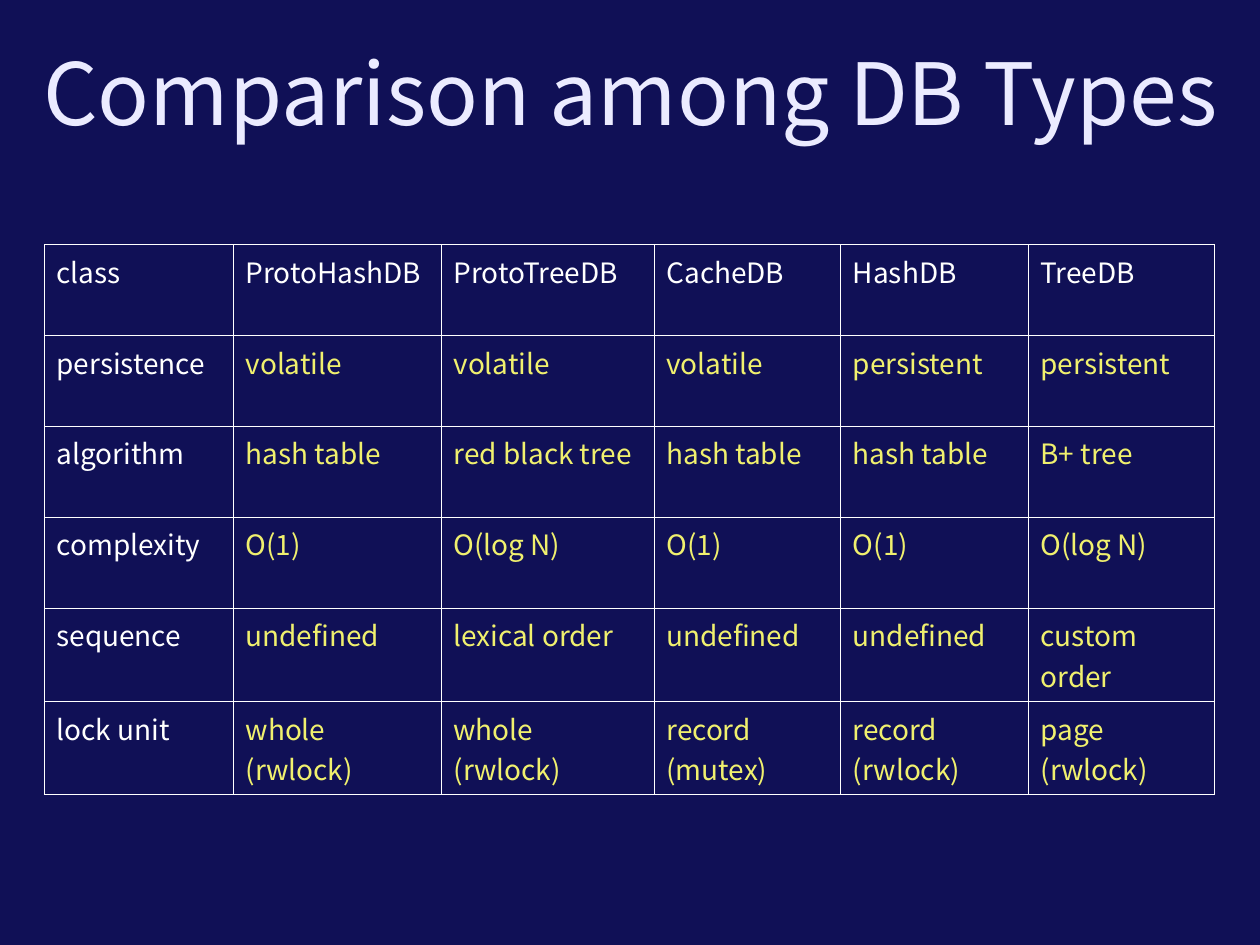
from lxml.etree import SubElement
from pptx import Presentation
from pptx.dml.color import RGBColor
from pptx.enum.text import MSO_ANCHOR, MSO_AUTO_SIZE, PP_ALIGN
from pptx.oxml.ns import qn
from pptx.util import Inches, Pt

NAVY = RGBColor(0x10, 0x10, 0x56)
LAVENDER = RGBColor(0xEB, 0xEB, 0xFF)
WHITE = RGBColor(0xFF, 0xFF, 0xFF)
YELLOW = RGBColor(0xF0, 0xF0, 0x6E)
FONT = "Noto Sans CJK JP"
BORDER_WIDTH = Pt(0.45)

COLUMN_WIDTHS = [1.5, 1.65, 1.69, 1.48, 1.49, 1.48]
DB_TYPES = [
    ["class", "ProtoHashDB", "ProtoTreeDB", "CacheDB", "HashDB", "TreeDB"],
    ["persistence", "volatile", "volatile", "volatile", "persistent", "persistent"],
    ["algorithm", "hash table", "red black tree", "hash table", "hash table", "B+ tree"],
    ["complexity", "O(1)", "O(log N)", "O(1)", "O(1)", "O(log N)"],
    ["sequence", "undefined", "lexical order", "undefined", "undefined", "custom order"],
    ["lock unit", "whole (rwlock)", "whole (rwlock)", "record (mutex)",
     "record (rwlock)", "page (rwlock)"],
]


def add_run(paragraph, text, size, color):
    run = paragraph.add_run()
    run.text = text
    run.font.name = FONT
    run.font.size = Pt(size)
    run.font.color.rgb = color


def add_borders(cell):
    properties = cell._tc.get_or_add_tcPr()
    for side in ("lnL", "lnR", "lnT", "lnB"):
        line = SubElement(properties, qn(f"a:{side}"), w=str(BORDER_WIDTH))
        fill = SubElement(line, qn("a:solidFill"))
        SubElement(fill, qn("a:srgbClr"), val=str(WHITE))


def place_title(slide, left, top, width, height):
    title = slide.shapes.title
    title.left, title.top, title.width, title.height = left, top, width, height
    frame = title.text_frame
    frame.word_wrap = True
    frame.auto_size = MSO_AUTO_SIZE.NONE
    frame.vertical_anchor = MSO_ANCHOR.MIDDLE
    heading = frame.paragraphs[0]
    heading.alignment = PP_ALIGN.CENTER
    add_run(heading, "Comparison among DB Types", 49, LAVENDER)


def place_comparison(slide, left, top, width, height):
    comparison = slide.shapes.add_table(
        len(DB_TYPES), len(COLUMN_WIDTHS), left, top, width, height).table
    comparison.horz_banding = False
    for column, column_width in zip(comparison.columns, COLUMN_WIDTHS):
        column.width = Inches(column_width)

    for row, values in enumerate(DB_TYPES):
        for col, value in enumerate(values):
            cell = comparison.cell(row, col)
            add_borders(cell)
            cell.fill.background()
            paragraph = cell.text_frame.paragraphs[0]
            paragraph.space_before = Pt(4)
            # Headings along the top and left are white
            is_heading = row == 0 or col == 0
            add_run(paragraph, value, 16, WHITE if is_heading else YELLOW)


def main():
    deck = Presentation()
    deck.slide_width, deck.slide_height = Inches(10), Inches(7.5)
    slide = deck.slides.add_slide(deck.slide_layouts[5])

    # Background
    slide.background.fill.solid()
    slide.background.fill.fore_color.rgb = NAVY

    # Title and table
    place_title(slide, Inches(0.12), Inches(0.13), Inches(9.76), Inches(1.18))
    place_comparison(slide, Inches(0.35), Inches(1.94), Inches(9.29), Inches(4.33))

    deck.save("out.pptx")


if __name__ == "__main__":
    main()
